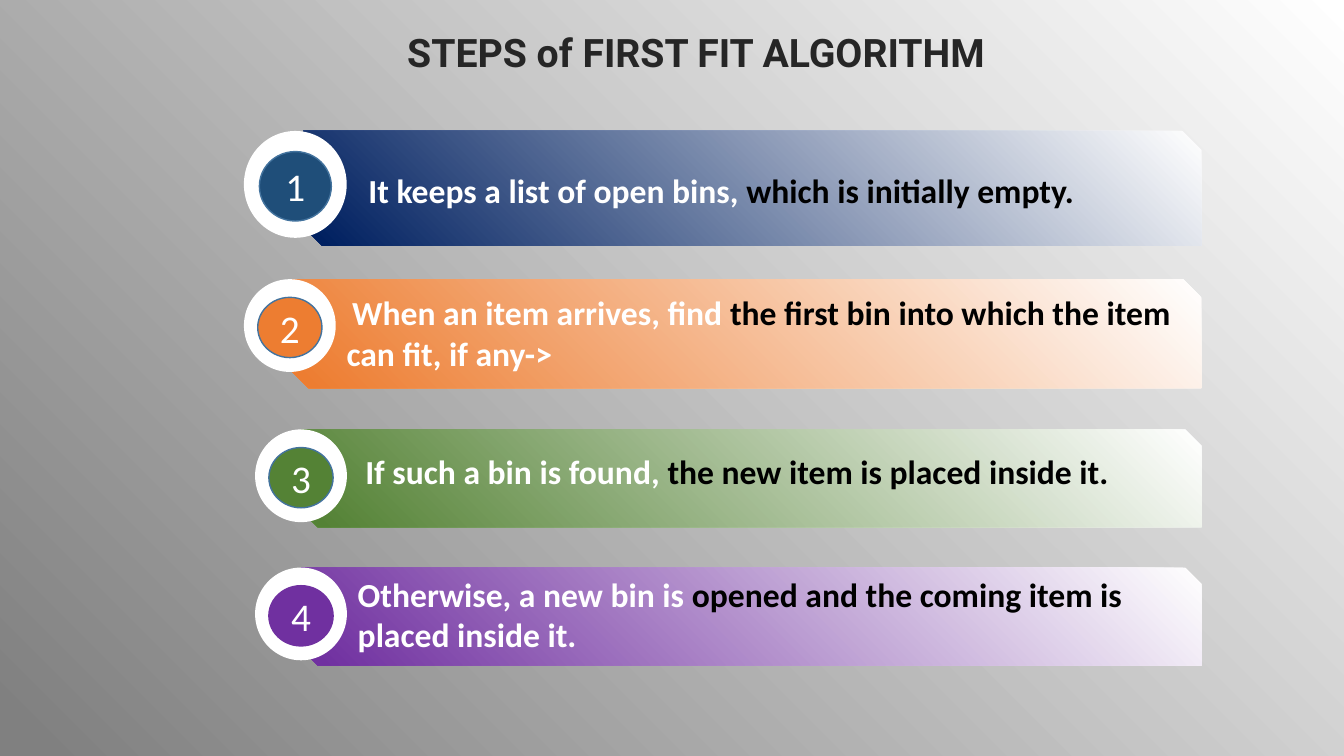
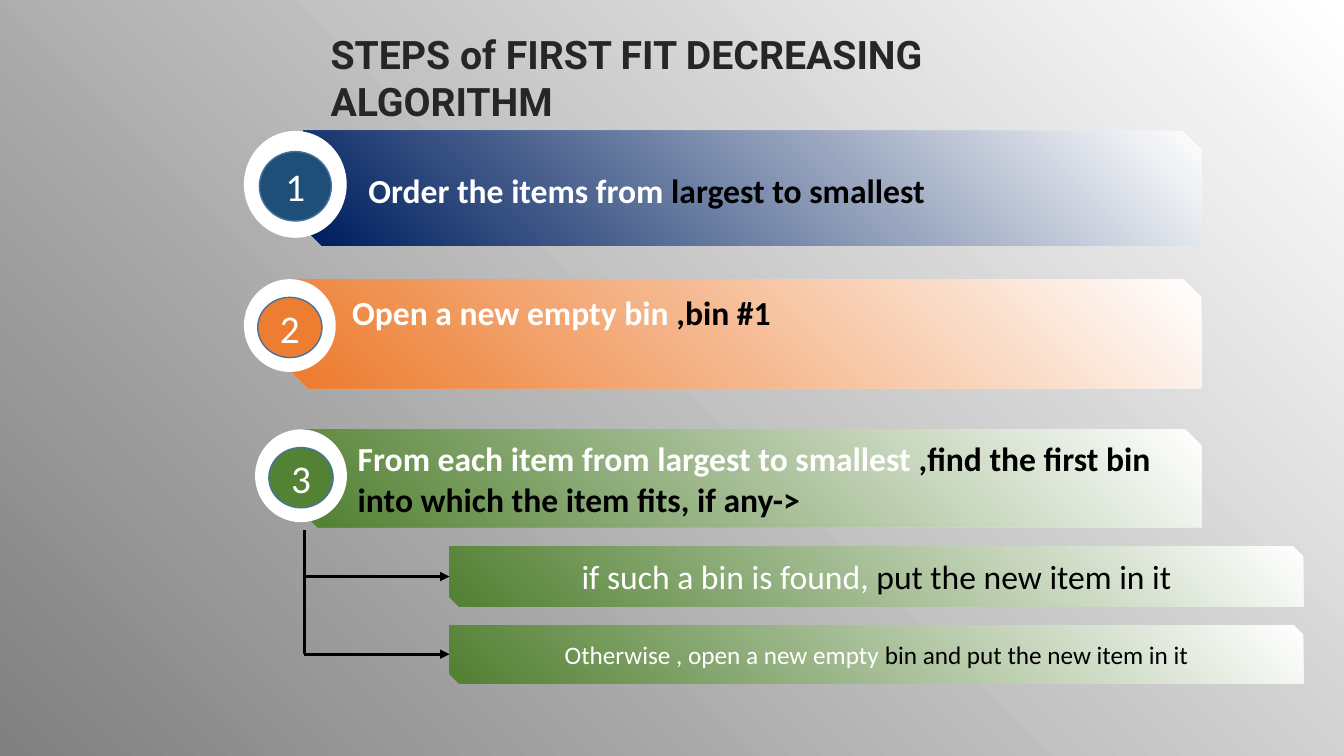
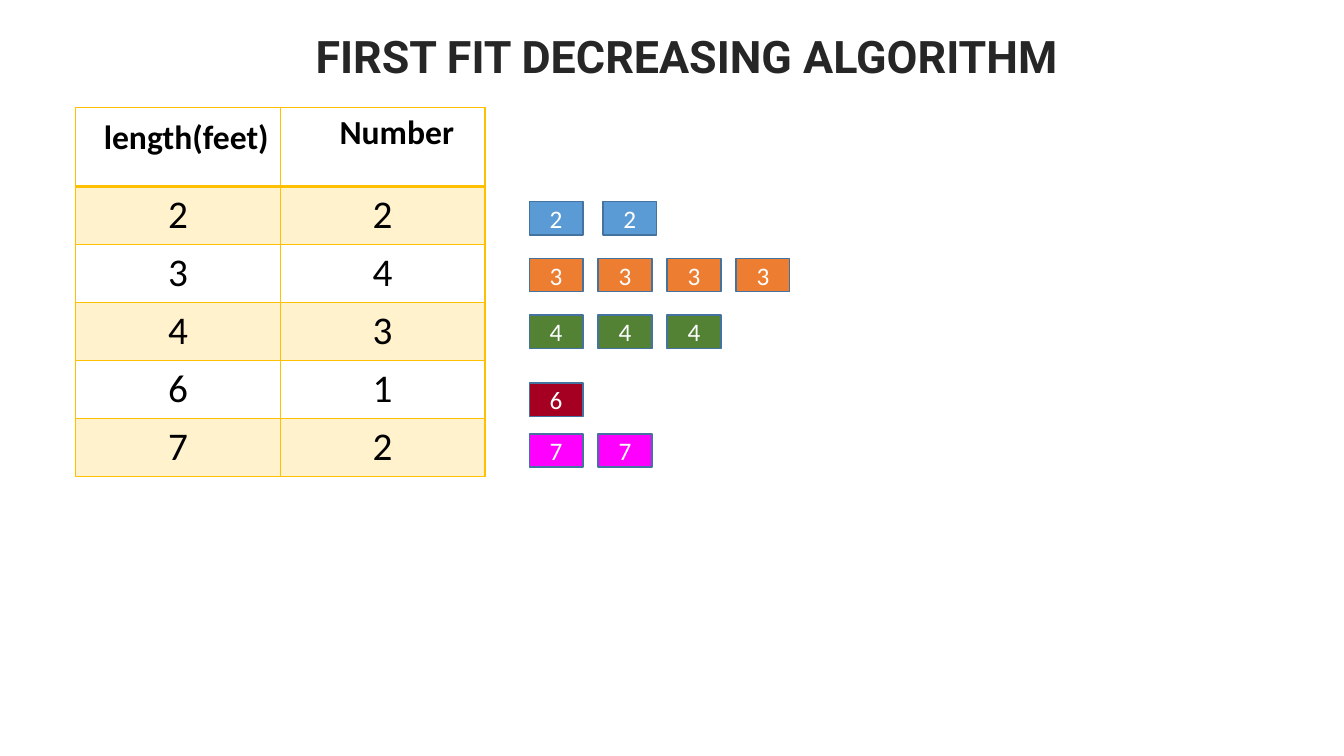
from dataclasses import dataclass

from lxml import etree
from pptx import Presentation
from pptx.dml.color import RGBColor
from pptx.enum.shapes import MSO_CONNECTOR, MSO_SHAPE
from pptx.enum.text import MSO_ANCHOR, MSO_AUTO_SIZE, PP_ALIGN
from pptx.oxml.ns import qn
from pptx.util import Inches, Pt

BAND = MSO_SHAPE.SNIP_2_DIAG_RECTANGLE
ROUND = MSO_SHAPE.FLOWCHART_CONNECTOR
RECT = MSO_SHAPE.RECTANGLE
LINE = MSO_CONNECTOR.STRAIGHT
LEFT, CENTER = PP_ALIGN.LEFT, PP_ALIGN.CENTER
TOP, MIDDLE = MSO_ANCHOR.TOP, MSO_ANCHOR.MIDDLE
WIDE, HIGH = Inches(13.33), Inches(7.5)


@dataclass(frozen=True)
class Theme:
    head: str = "Roboto"
    body: str = "Calibri"
    ink: str = "262626"
    black: str = "000000"
    white: str = "FFFFFF"
    gray: str = "808080"
    edge: str = "43739E"
    navy: str = "002060"
    blue: str = "1F4E79"
    sky: str = "5B9BD5"
    orange: str = "ED7D31"
    green: str = "548235"
    purple: str = "7030A0"
    red: str = "A50021"
    pink: str = "FF00FF"
    gold: str = "FFC000"
    cream: str = "FFF2CC"
    big: int = 32
    large: int = 28
    mid: int = 24
    small: int = 18


T = Theme()


@dataclass(frozen=True)
class Step:
    """One numbered band; lengths are percent of the slide."""
    left: float
    top: float
    high: float
    ring: tuple  # left, width, height
    text: float
    tint: str
    disc: str
    edge: str = T.edge


BAND_END = 89.4
TEXT_WIDE = 64.35
STEPS = [
    Step(22.58, 17.33, 15.2, (18.15, 7.65, 14.13), 26.25, T.navy, T.blue),
    Step(21.6, 36.93, 14.4, (18.15, 6.83, 12.27), 25.05, T.orange, T.orange),
    Step(22.43, 56.8, 12.93, (18.98, 6.83, 12.27), 25.88, T.green, T.green),
    Step(22.43, 75.07, 12.93, (18.98, 6.83, 12.27), 25.88, T.purple, T.purple, T.purple),
]


# Basic helpers
def across(share):
    return int(WIDE * share / 100)


def down(share):
    return int(HIGH * share / 100)


def place(x, y, w, h):
    return across(x), down(y), across(w), down(h)


def rgb(code):
    return RGBColor.from_string(code)


def write(frame, runs, size, bold=False, font=T.body, align=LEFT, anchor=TOP):
    """Fill a text frame with (text, colour) runs."""
    frame.word_wrap = True
    frame.vertical_anchor = anchor
    para = frame.paragraphs[0]
    para.alignment = align
    for words, color in runs:
        run = para.add_run()
        run.text = words
        run.font.name, run.font.size = font, Pt(size)
        run.font.bold, run.font.color.rgb = bold, rgb(color)
    return para


def fade(fill, host, color, start):
    """Gradient to white that spreads from the lower left corner."""
    fill.gradient()
    for stop, tone, spot in zip(fill.gradient_stops, (color, T.white), (start, 1)):
        stop.color.rgb, stop.position = rgb(tone), spot
    grad = host.xpath(".//a:gradFill")[0]
    grad.remove(grad.find(qn("a:lin")))
    ray = etree.SubElement(grad, qn("a:path"), path="circle")
    etree.SubElement(ray, qn("a:fillToRect"), t="100000", r="100000")


def shape(slide, kind, box, color, edge=None):
    item = slide.shapes.add_shape(kind, *place(*box))
    item.shadow.inherit = False
    item.fill.solid()
    item.fill.fore_color.rgb = rgb(color)
    if edge:
        item.line.color.rgb, item.line.width = rgb(edge), Pt(1)
    else:
        item.line.fill.background()
    return item


def label(item, words, size):
    frame = item.text_frame
    frame.margin_left = frame.margin_right = frame.margin_top = frame.margin_bottom = 0
    write(frame, [(words, T.white)], size, align=CENTER, anchor=MIDDLE)


def band(slide, box, color):
    item = shape(slide, BAND, box, color)
    fade(item.fill, item.element.spPr, color, 0.02)
    return item


def line(slide, x1, y1, x2, y2, arrow=False):
    item = slide.shapes.add_connector(LINE, across(x1), down(y1), across(x2), down(y2))
    item.line.color.rgb, item.line.width = rgb(T.black), Pt(2.25)
    if arrow:
        etree.SubElement(item.element.xpath(".//a:ln")[0], qn("a:tailEnd"), type="triangle")
    etree.SubElement(item.element.spPr, qn("a:effectLst"))


def start(deck, words, box, size=T.large, shade=None):
    """New slide with its title and, where a start is given, the gray fade."""
    slide = deck.slides.add_slide(deck.slide_layouts[5])
    if shade is not None:
        fade(slide.background.fill, slide.element, T.gray, shade)
    title = slide.shapes.title
    title.left, title.top, title.width, title.height = place(*box)
    title.text_frame.auto_size = MSO_AUTO_SIZE.NONE
    write(title.text_frame, [(words, T.ink)], size, True, T.head)
    return slide


# Numbered steps
def step(slide, num, spec, top, lead, runs):
    band(slide, (spec.left, spec.top, BAND_END - spec.left, spec.high), spec.tint)
    x, w, h = spec.ring
    shape(slide, ROUND, (x, spec.top, w, h), T.white)
    dw, dh = w * 0.7, h * 0.65
    disc = (x + (w - dw) / 2, spec.top + (h - dh) / 2 + 0.25, dw, dh)
    label(shape(slide, ROUND, disc, spec.disc, spec.edge), str(num), T.large)
    note = slide.shapes.add_textbox(*place(spec.text, top, TEXT_WIDE, 6.67))
    para = write(note.text_frame, runs, T.mid, True)
    para._p.get_or_add_pPr().set("indent", str(across(lead)))


def steps(slide, rows):
    for num, (spec, row) in enumerate(zip(STEPS, rows), 1):
        step(slide, num, spec, *row)


def branch(slide, rows):
    """Sub-bands joined to the step above by a trunk and arrows."""
    trunk, left, wide = 22.65, 33.45, 63.53
    for top, high, size, runs in rows:
        item = band(slide, (left, top, wide, high), T.green)
        write(item.text_frame, runs, size, align=CENTER, anchor=MIDDLE)
        mid = top + high / 2
        line(slide, trunk, mid, left, mid, arrow=True)
    line(slide, trunk, 70.13, trunk, mid)


# Table and item chips
def border(cell, thick):
    """Gold lines on all sides; thick names the heavy ones."""
    props = cell._tc.get_or_add_tcPr()
    for spot, side in enumerate("LRTB"):
        width = Pt(2 if side in thick else 1)
        edge = etree.Element(qn("a:ln" + side), w=str(width))
        fill = etree.SubElement(edge, qn("a:solidFill"))
        etree.SubElement(fill, qn("a:srgbClr"), val=T.gold)
        props.insert(spot, edge)


def table(slide, heads, rows):
    col, first, rest = 15.23, 10.4, 7.6
    box = place(5.63, 14.27, col * len(heads), first + rest * len(rows))
    grid = slide.shapes.add_table(len(rows) + 1, len(heads), *box).table
    grid.first_row = grid.horz_banding = False
    for r, row in enumerate([heads, *rows]):
        grid.rows[r].height = down(rest if r else first)
        for c, value in enumerate(row):
            cell = grid.cell(r, c)
            if r % 2:
                cell.fill.solid()
                cell.fill.fore_color.rgb = rgb(T.cream)
            else:
                cell.fill.background()
            border(cell, ("B", "T")[r] if r < 2 else "")
            write(cell.text_frame, [(str(value), T.black)], T.large if r else T.mid,
                  bold=r == 0, align=CENTER if r or c else LEFT)
    # Header insets
    grid.cell(0, 0).margin_left, grid.cell(0, 0).margin_top = Inches(0.28), Inches(0.1)
    grid.cell(0, 1).margin_left = Inches(0.38)


def chips(slide, rows):
    for value, count, color, top, pitch in rows:
        for n in range(count):
            box = (39.38 + n * pitch, top, 4, 4.4)
            label(shape(slide, RECT, box, color, T.edge), str(value), T.small)


def main():
    deck = Presentation()
    deck.slide_width, deck.slide_height = WIDE, HIGH
    white, black = T.white, T.black

    # First fit
    slide = start(deck, "STEPS of FIRST FIT ALGORITHM", (29.55, 3.07, 60.6, 7.6), shade=0.02)
    steps(slide, [
        (21.87, 0.42, [("It keeps a list of open bins, ", white),
                       ("which is initially empty.", black)]),
        (38, 0.42, [("When an item arrives, find", white),
                    (" the first bin into which the item ", black),
                    ("can fit, if any->", white)]),
        (58.93, 0.56, [("If such a bin is found, ", white),
                       ("the new item is placed inside it.", black)]),
        (75.2, 0, [("Otherwise, a new bin is ", white),
                   ("opened and the coming item is ", black),
                   ("placed inside it.", white)]),
    ])

    # First fit decreasing
    slide = start(deck, "STEPS of FIRST FIT DECREASING ALGORITHM",
                  (23.85, 3.33, 60.6, 7.6), shade=0)
    steps(slide, [
        (21.87, 0.42, [("Order the items from ", white), ("largest to smallest", black)]),
        (38, 0.42, [("Open a new empty bin ", white), (",bin #1", black)]),
        (57.33, 0, [("From each item from largest to smallest ", white),
                    (",find the first bin into which the item fits, if any->", black)]),
    ])
    branch(slide, [
        (72.27, 8, T.mid, [("if such a bin is found, ", white),
                           ("put the new item in it", black)]),
        (82.67, 7.73, T.small, [("Otherwise , open a new empty ", white),
                                ("bin and put the new item in it", black)]),
    ])

    # Worked example
    slide = start(deck, "FIRST FIT DECREASING ALGORITHM", (22.73, 3.07, 67.13, 8.53), T.big)
    items = [
        (2, 2, T.sky, 26.67, 5.48),
        (3, 4, T.orange, 34.2, 5.13),
        (4, 3, T.green, 41.67, 5.13),
        (6, 1, T.red, 50.67, 5.13),
        (7, 2, T.pink, 57.4, 5.13),
    ]
    table(slide, ("length(feet)", "Number"), [item[:2] for item in items])
    chips(slide, items)

    deck.save("out.pptx")


if __name__ == "__main__":
    main()
